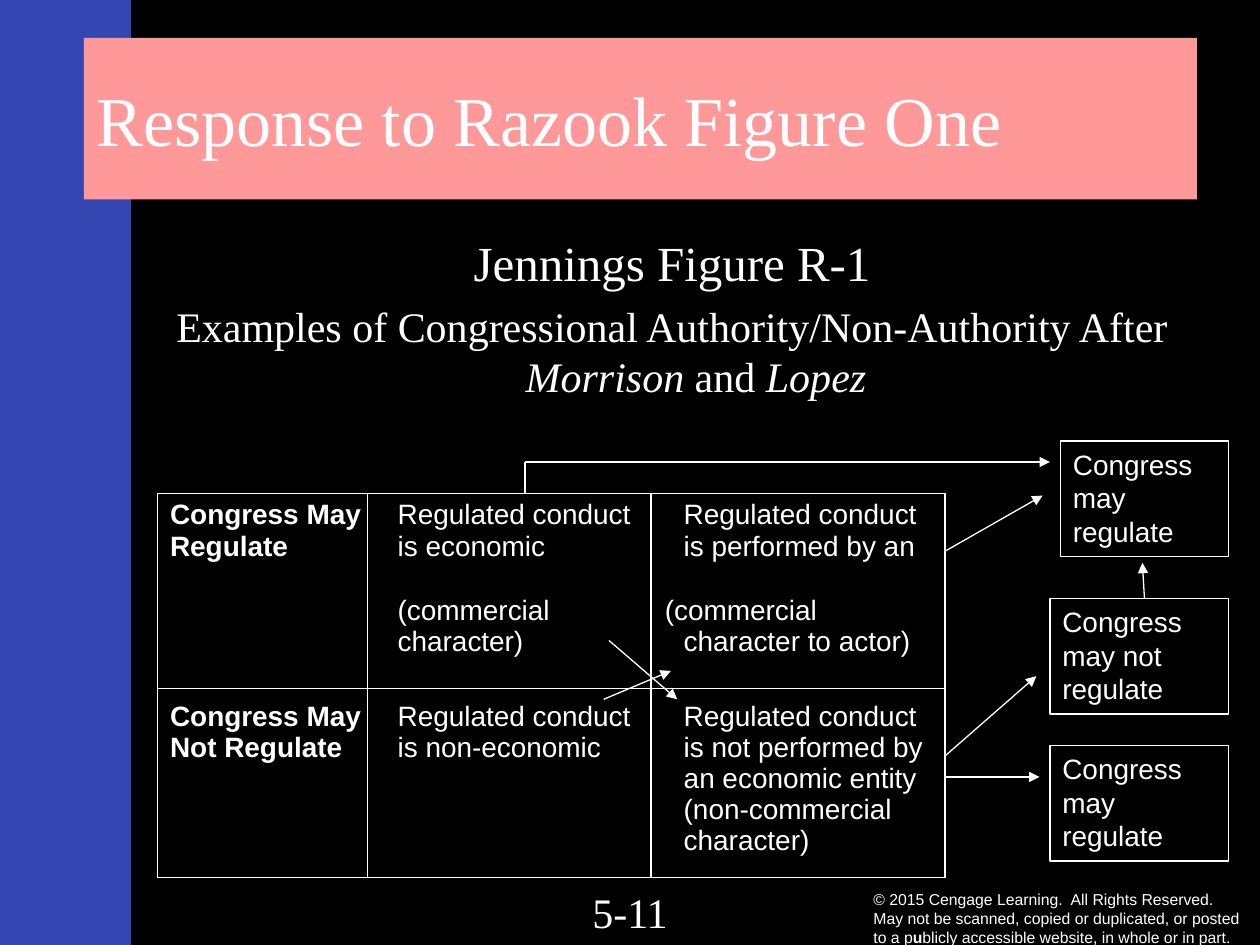
from lxml import etree
from pptx import Presentation, util as u
from pptx.dml.color import RGBColor
from pptx.enum import shapes, text
from pptx.oxml import ns

BLUE = RGBColor(0x33, 0x46, 0xB1)
BLACK = RGBColor(0, 0, 0)
PINK = RGBColor(0xFF, 0x99, 0x99)
WHITE = RGBColor(0xFF, 0xFF, 0xFF)
SERIF, SANS = "Times New Roman", "Arial"
CENTER = text.PP_ALIGN.CENTER
MIDDLE = text.MSO_ANCHOR.MIDDLE

# The slide is a grid of 120 columns by 90 rows
CELL = u.Inches(10) // 120
LINE_WIDTH = u.Pt(0.75)


def grid(*values):
    return [round(value * CELL) for value in values]


def add_child(parent, tag, **attributes):
    return etree.SubElement(parent, ns.qn(tag), attributes)


def write(paragraph, runs, size, font=SANS, align=None, hang=0):
    """Fill a paragraph with (words, format) runs."""
    if hang:
        properties = paragraph._p.get_or_add_pPr()
        properties.set("marL", str(u.Inches(hang)))
        properties.set("indent", str(-u.Inches(hang)))
    paragraph.alignment = align
    for words, extra in runs:
        for number, line in enumerate(words.split("\n")):
            if number:
                paragraph.add_line_break()
            run = paragraph.add_run()
            run.text = line
            run.font.color.rgb = WHITE
            formats = {"size": u.Pt(size), "name": font, **extra}
            for name, value in formats.items():
                setattr(run.font, name, value)


def add_box(slide, box, fill=None, outline=False, anchor=None):
    shape = slide.shapes.add_shape(shapes.MSO_SHAPE.RECTANGLE, *grid(*box))
    shape.shadow.inherit = False
    if fill is None:
        shape.fill.background()
    else:
        shape.fill.solid()
        shape.fill.fore_color.rgb = fill
    if outline:
        shape.line.color.rgb = WHITE
        shape.line.width = LINE_WIDTH
    else:
        shape.line.fill.background()
    frame = shape.text_frame
    frame.word_wrap = True
    frame.vertical_anchor = anchor or text.MSO_ANCHOR.TOP
    return frame


def add_text(slide, box, anchor=None):
    frame = slide.shapes.add_textbox(*grid(*box)).text_frame
    frame.word_wrap = True
    frame.vertical_anchor = anchor or text.MSO_ANCHOR.TOP
    return frame


def add_line(slide, start, end, arrow=True):
    line = slide.shapes.add_connector(
        shapes.MSO_CONNECTOR.STRAIGHT, *grid(*start, *end))
    line.line.color.rgb = WHITE
    line.line.width = LINE_WIDTH
    if arrow:
        add_child(line.line._get_or_add_ln(), "a:tailEnd", type="triangle")
    add_child(line._element.spPr, "a:effectLst")


def add_backdrop(slide):
    slide.background.fill.solid()
    slide.background.fill.fore_color.rgb = BLUE
    add_box(slide, (12.5, 0, 107.5, 90), BLACK)


def add_heading(slide, box):
    frame = add_box(slide, box, PINK, anchor=MIDDLE)
    write(frame.paragraphs[0], [("Response to Razook Figure One", {})],
          40, SERIF, text.PP_ALIGN.LEFT)


def add_caption(slide, box):
    frame = add_text(slide, box)
    write(frame.paragraphs[0], [("Jennings Figure R-1", {})],
          28, SERIF, CENTER, hang=0.38)
    subtitle = frame.add_paragraph()
    subtitle.space_before = u.Pt(5)
    write(subtitle, [
        ("Examples of Congressional Authority/Non-Authority After ", {}),
        ("Morrison", {"italic": True}), (" and ", {}),
        ("Lopez", {"italic": True})], 24, SERIF, CENTER, hang=0.38)


def add_authority_table(slide, box, columns, rows):
    content = [
        [["Congress May\nRegulate"],
         ["Regulated conduct\nis economic", "(commercial\ncharacter)"],
         ["Regulated conduct\nis performed by an",
          "(commercial\ncharacter to actor)"]],
        [["Congress May\nNot Regulate"],
         ["Regulated conduct\nis non-economic"],
         ["Regulated conduct\nis not performed by\nan economic entity\n"
          "(non-commercial\ncharacter)"]],
    ]
    left_margins = (0.1, 0.24, 0.26)
    table = slide.shapes.add_table(2, 3, *grid(*box)).table
    table.first_row = table.horz_banding = False
    for column, width in zip(table.columns, grid(*columns)):
        column.width = width
    for row, height in zip(table.rows, grid(*rows)):
        row.height = height
    for r, row_content in enumerate(content):
        for c, blocks in enumerate(row_content):
            cell = table.cell(r, c)
            hang = 0.15 if (r, c) == (0, 2) else 0
            cell.margin_left = u.Inches(left_margins[c] - hang)
            cell.margin_right = 0
            cell.margin_top = u.Inches(0.1 if r else 0.05)
            cell.margin_bottom = 0
            for number, block in enumerate(blocks):
                frame = cell.text_frame
                paragraph = frame.add_paragraph() if number else frame.paragraphs[0]
                if number:
                    paragraph.space_before = u.Pt(19)
                # Only the bracketed remark hangs out to the left
                if hang and not number:
                    paragraph._p.get_or_add_pPr().set("marL", str(u.Inches(hang)))
                write(paragraph, [(block, {"bold": c == 0})], 16,
                      hang=hang if number else 0)
            # Borders come before the fill in the cell properties
            properties = cell._tc.get_or_add_tcPr()
            for side in ("a:lnL", "a:lnR", "a:lnT", "a:lnB"):
                border = add_child(properties, side, w=str(LINE_WIDTH))
                fill = add_child(border, "a:solidFill")
                add_child(fill, "a:srgbClr", val=str(WHITE))
            cell.fill.background()


def add_outcome(slide, box, words):
    frame = add_box(slide, box, outline=True)
    write(frame.paragraphs[0], [(words, {})], 16, align=text.PP_ALIGN.LEFT)


def add_arrows(slide):
    add_line(slide, (50, 47), (50, 44), arrow=False)
    for start, end in [
        ((50, 44), (100, 44)),
        ((90, 52.5), (99.3, 47.2)),
        ((109, 57), (108.8, 53.6)),
        ((58, 61), (64.5, 66.6)),
        ((57.5, 66.6), (63.9, 63.9)),
        ((90, 72), (98.7, 64.4)),
        ((90, 74), (99, 74)),
    ]:
        add_line(slide, start, end)


def add_footer(slide, number_box, notice_box):
    write(add_text(slide, number_box).paragraphs[0], [("5-11", {})],
          24, SERIF, CENTER)
    write(add_text(slide, notice_box, MIDDLE).paragraphs[0], [
        ("© 2015 Cengage Learning.  All Rights Reserved.  May not be scanned, "
         "copied or duplicated, or posted to a p", {}),
        ("u", {"bold": True}),
        ("blicly accessible website, in whole or in part.", {})], 9)


def main():
    presentation = Presentation()
    presentation.slide_width, presentation.slide_height = grid(120, 90)
    slide = presentation.slides.add_slide(presentation.slide_layouts[6])
    add_backdrop(slide)
    add_heading(slide, (8, 3.6, 106, 15.4))
    add_caption(slide, (14, 21.6, 100, 18))
    add_authority_table(slide, (15, 47, 75, 36.6), (20, 27, 28), (18.6, 18))
    add_outcome(slide, (101, 42, 16, 11), "Congress may regulate")
    add_outcome(slide, (100, 57, 17, 11), "Congress may not regulate")
    add_outcome(slide, (100, 71, 17, 11), "Congress may regulate")
    add_arrows(slide)
    add_footer(slide, (46, 83.8, 28, 6.2), (82, 84.1, 38, 6.7))
    presentation.save("out.pptx")


if __name__ == "__main__":
    main()
